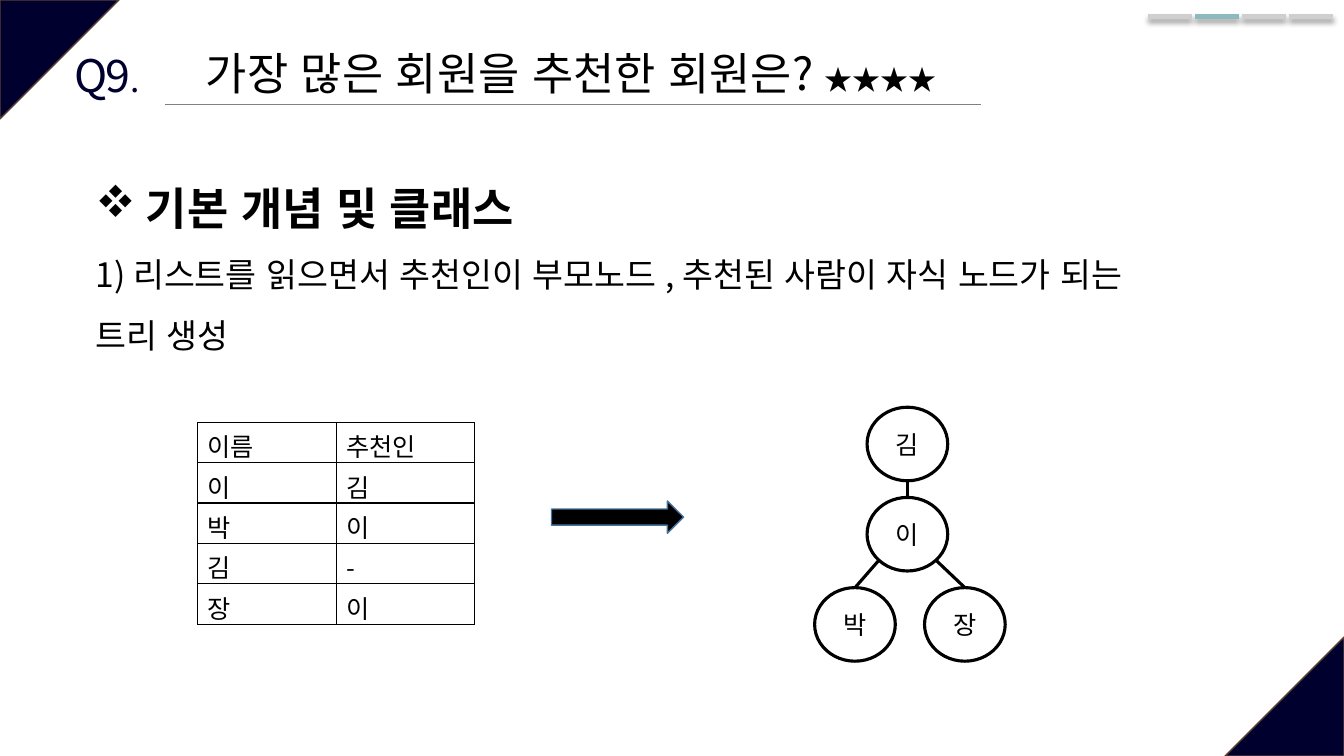
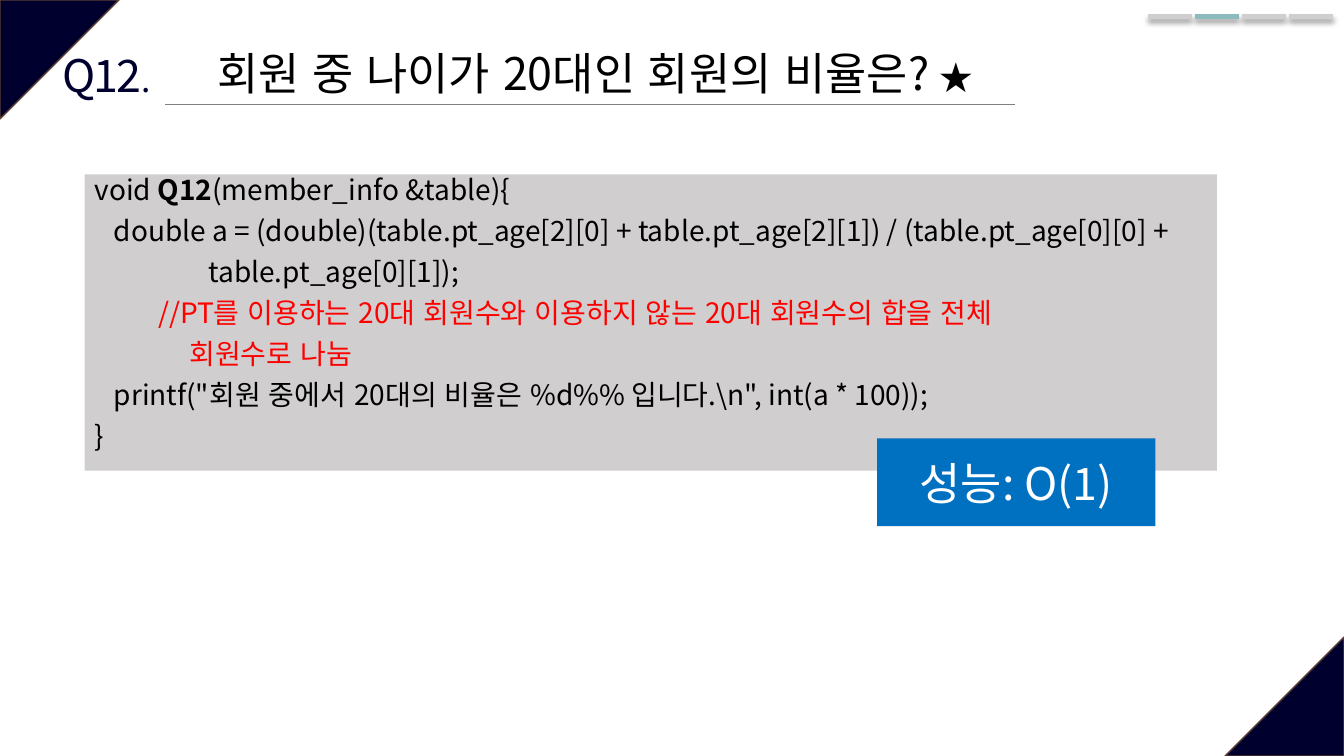
from lxml import etree
from pptx import Presentation
from pptx import util as u
from pptx.dml.color import RGBColor
from pptx.enum import shapes, text
from pptx.oxml import ns

WIDTH, HEIGHT = 13.33, 7.5
FONT = "Noto Sans CJK KR"
NAVY, BLACK, WHITE, RED = "00002F", "000000", "FFFFFF", "FF0000"
GRAY, TEAL, BLUE = "D0CECE", "8DBABD", "0070C0"
CENTER, MIDDLE = text.PP_ALIGN.CENTER, text.MSO_ANCHOR.MIDDLE
SHAPE = shapes.MSO_SHAPE


def rgb(value):
    return RGBColor.from_string(value)


def inches(*values):
    return [u.Inches(value) for value in values]


def child(parent, tag, **attributes):
    return etree.SubElement(parent, ns.qn(tag), attributes)


def add_run(paragraph, words, size=18, color=BLACK, bold=False, spacing=0):
    run = paragraph.add_run()
    run.text = words
    font = run.font
    font.name, font.size, font.bold = FONT, u.Pt(size), bold
    font.color.rgb = rgb(color)
    properties = run._r.get_or_add_rPr()
    properties.set("lang", "ko-KR")
    child(properties, "a:ea", typeface=FONT)
    if spacing:
        properties.set("spc", str(int(spacing * 100)))


def add_text(frame, runs, align=None, line=None, before=None, indent=0, bullet=None, **style):
    """Fill the first empty paragraph or a new one; runs is a string or (string, overrides) pairs."""
    paragraph = frame.paragraphs[-1]
    if paragraph.runs:
        paragraph = frame.add_paragraph()
    paragraph.alignment = align
    if line:
        paragraph.line_spacing = line
    if before is not None:
        paragraph.space_before = u.Pt(before)
    properties = paragraph._p.get_or_add_pPr()
    if indent:
        properties.set("marL", str(u.Inches(indent)))
    if bullet:
        properties.set("indent", str(-u.Inches(indent)))
        child(properties, "a:buFont", typeface="Wingdings", pitchFamily="2", charset="2")
        child(properties, "a:buChar", char=bullet)
    for words, override in [(runs, {})] if isinstance(runs, str) else runs:
        add_run(paragraph, words, **{**style, **override})


def add_box(slide, box, wrap=True):
    frame = slide.shapes.add_textbox(*inches(*box)).text_frame
    frame.word_wrap = wrap
    return frame


def add_shape(slide, kind, box, fill=None, line=None, weight=1, rotation=0):
    shape = slide.shapes.add_shape(kind, *inches(*box))
    shape.shadow.inherit = False
    shape.rotation = rotation
    if fill:
        shape.fill.solid()
        shape.fill.fore_color.rgb = rgb(fill)
    else:
        shape.fill.background()
    if line:
        shape.line.color.rgb = rgb(line)
        shape.line.width = u.Pt(weight)
    else:
        shape.line.fill.background()
    return shape


def add_line(slide, start, end, color, weight, raised=False):
    """Draw a straight line; a raised one has square ends and a shadow."""
    line = slide.shapes.add_connector(shapes.MSO_CONNECTOR.STRAIGHT, *inches(*start, *end))
    line.line.color.rgb = rgb(color)
    line.line.width = u.Pt(weight)
    effects = child(line._element.spPr, "a:effectLst")
    if raised:
        line.line._get_or_add_ln().set("cap", "sq")
        outer = child(effects, "a:outerShdw", blurRad=str(u.Pt(4)), dist=str(u.Pt(3)),
                      dir="5400000", algn="t", rotWithShape="0")
        child(child(outer, "a:srgbClr", val=BLACK), "a:alpha", val="40000")
    return line


def add_corners(slide, size=1.18):
    for left, top, rotation in ((0, 0, 90), (WIDTH - size, HEIGHT - size, 270)):
        add_shape(slide, SHAPE.RIGHT_TRIANGLE, (left, top, size, size), NAVY, "5B3F33",
                  rotation=rotation)


def add_progress(slide, current, left=11.41, top=0.16, length=0.39, pitch=0.467, count=4):
    for step in range(count):
        start = left + step * pitch
        add_line(slide, (start, top), (start + length, top),
                 TEAL if step == current else GRAY, 3.5, raised=True)


def add_question_slide(presentation, number, number_box, question, stars, star_size,
                       title_box, rule_end):
    slide = presentation.slides.add_slide(presentation.slide_layouts[5])
    add_corners(slide)
    add_progress(slide, current=1)
    add_line(slide, (1.64, 1.04), (rule_end, 1.04), "808080", 0.5)
    title = slide.shapes.title
    title.left, title.top, title.width, title.height = inches(*title_box)
    frame = title.text_frame
    frame.word_wrap = True
    frame.auto_size = text.MSO_AUTO_SIZE.NONE
    frame.vertical_anchor = text.MSO_ANCHOR.TOP
    add_text(frame, [(question + " ", {}), (stars, {"size": star_size})], align=CENTER, size=32)
    add_text(add_box(slide, number_box, wrap=False), [(number, {}), (".", {"size": 24})],
             align=CENTER, size=32, color=NAVY, spacing=-1.5)
    return slide


def add_concept(slide, box):
    frame = add_box(slide, box)
    add_text(frame, "기본 개념 및 클래스", size=32, bold=True, indent=0.5, bullet="v")
    add_text(frame, "1) 리스트를 읽으면서 추천인이 부모노드 , 추천된 사람이 자식 노드가 되는 트리 생성",
             size=24, line=1.5)


def set_borders(cell, color, weight):
    properties = cell._tc.get_or_add_tcPr()
    for position, side in enumerate(("a:lnL", "a:lnR", "a:lnT", "a:lnB")):
        border = child(properties, side, w=str(u.Pt(weight)))
        child(child(border, "a:solidFill"), "a:srgbClr", val=color)
        properties.insert(position, border)


def add_referral_table(slide, box, rows):
    table = slide.shapes.add_table(len(rows), len(rows[0]), *inches(*box)).table
    table.first_row = table.horz_banding = False
    for row, values in enumerate(rows):
        for column, value in enumerate(values):
            cell = table.cell(row, column)
            cell.fill.background()
            set_borders(cell, BLACK, 1)
            add_text(cell.text_frame, value)


def add_tree(slide, box):
    """Draw a root, its child and two leaves, the leaves filling the width of the box."""
    left, top, width, height = box
    node_width, node_height = 0.8, 0.73
    pitch = (height - node_height) / 2
    trunk = left + 0.52

    def add_node(name, x, level):
        node = add_shape(slide, SHAPE.OVAL, (x, top + level * pitch, node_width, node_height),
                         line=BLACK, weight=2.25)
        frame = node.text_frame
        frame.vertical_anchor = MIDDLE
        frame.margin_left = frame.margin_right = 0
        add_text(frame, name, align=CENTER)
        return node

    add_node("김", trunk, 0)
    middle = add_node("이", trunk, 1)
    leaves = [add_node("박", left, 2), add_node("장", left + width - node_width, 2)]
    center = trunk + node_width / 2
    branches = [(0, node_height, middle)]
    branches += [(side * 0.28, pitch + 0.62, leaf) for side, leaf in zip((-1, 1), leaves)]
    for shift, drop, node in branches:
        start = (center + shift, top + drop)
        add_line(slide, start, start, BLACK, 2.25).end_connect(node, 0)


def add_code(slide, box, lines):
    """Show lines given as (indent in inches, colour, runs)."""
    frame = add_shape(slide, SHAPE.RECTANGLE, box, GRAY).text_frame
    frame.word_wrap = True
    frame.vertical_anchor = text.MSO_ANCHOR.TOP
    for indent, color, runs in lines:
        add_text(frame, runs, align=text.PP_ALIGN.LEFT, line=0.8, before=10, indent=indent,
                 size=20, color=color)


def add_performance(slide, box, words):
    frame = add_shape(slide, SHAPE.RECTANGLE, box, BLUE).text_frame
    frame.vertical_anchor = MIDDLE
    add_text(frame, words, align=CENTER, size=32, color=WHITE)


def build_recommender_slide(presentation):
    slide = add_question_slide(presentation, "Q9", (0.61, 0.42, 0.9, 0.64),
                               "가장 많은 회원을 추천한 회원은?", "★★★★", 20,
                               (1.04, 0.4, 9.25, 0.64), 9.73)
    add_concept(slide, (0.85, 1.74, 10.76, 2.2))
    add_referral_table(slide, (1.96, 4.19, 2.75, 2), [
        ("이름", "추천인"), ("이", "김"), ("박", "이"), ("김", "-"), ("장", "이")])
    add_shape(slide, SHAPE.RIGHT_ARROW, (5.47, 4.97, 1.31, 0.32), BLACK, "43739E")
    add_tree(slide, (8.08, 4.04, 1.89, 2.52))


def build_age_slide(presentation):
    slide = add_question_slide(presentation, "Q12", (0.49, 0.42, 1.14, 0.64),
                               "회원 중 나이가 20대인 회원의 비율은?", "★", 24,
                               (1.54, 0.4, 8.73, 0.64), 10.07)
    add_code(slide, (0.84, 1.73, 11.23, 2.94), [
        (0, BLACK, [("void ", {}), ("Q12", {"bold": True}), ("(member_info &table){", {})]),
        (0.19, BLACK, "double a = (double)(table.pt_age[2][0] + table.pt_age[2][1])"
                      " / (table.pt_age[0][0] +"),
        (1.13, BLACK, "table.pt_age[0][1]);"),
        (0.63, RED, "//PT를 이용하는 20대 회원수와 이용하지 않는 20대 회원수의 합을 전체"),
        (0.94, RED, "회원수로 나눔"),
        (0.19, BLACK, 'printf("회원 중에서 20대의 비율은 %d%% 입니다.\\n", int(a * 100));'),
        (0, BLACK, "}")])
    add_performance(slide, (8.7, 4.35, 2.76, 0.87), "성능: O(1)")


def main():
    presentation = Presentation()
    presentation.slide_width, presentation.slide_height = inches(WIDTH, HEIGHT)
    build_recommender_slide(presentation)
    build_age_slide(presentation)
    presentation.save("out.pptx")


if __name__ == "__main__":
    main()
